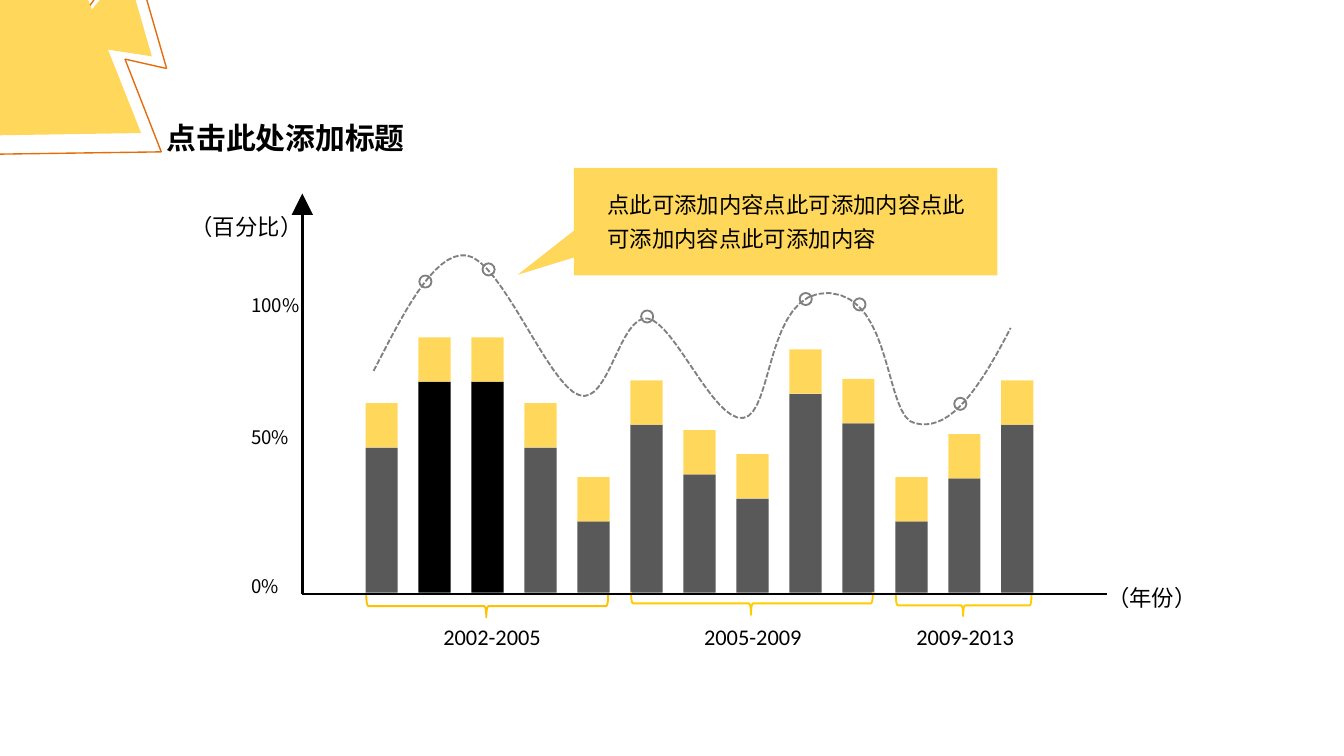
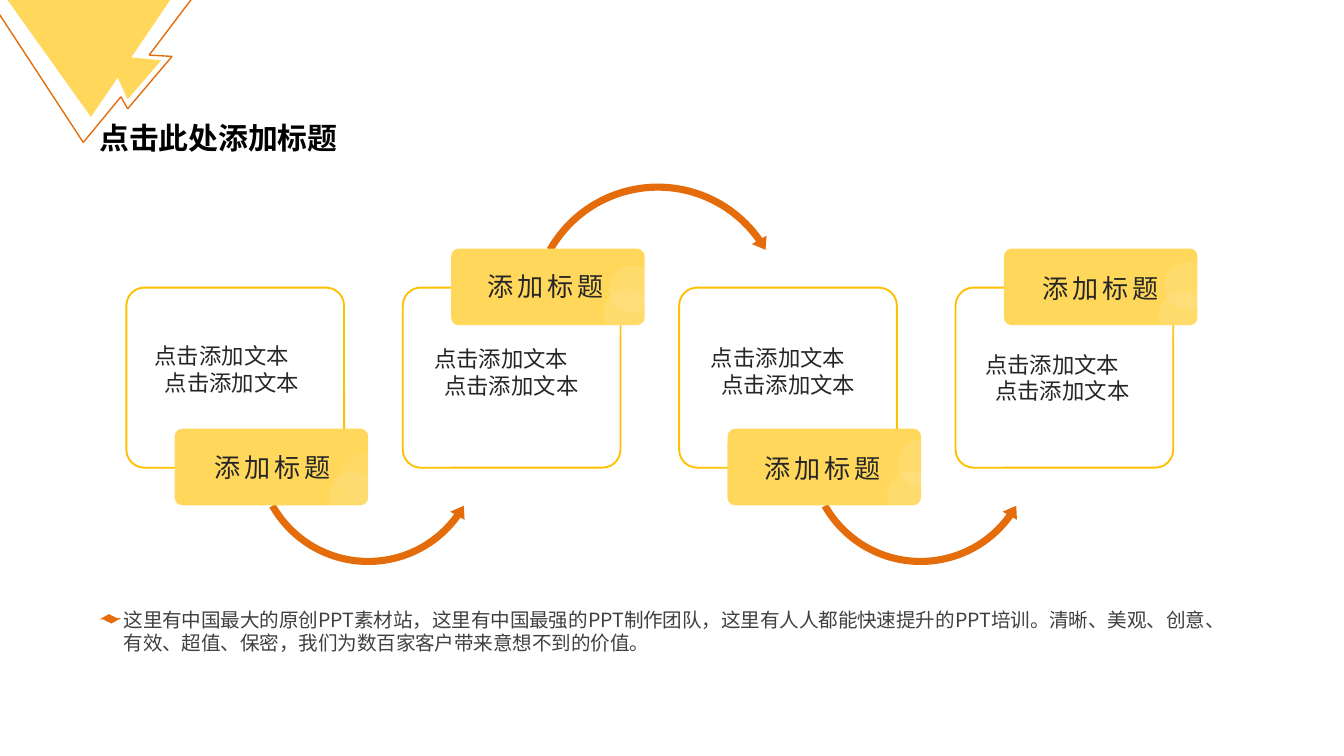
from itertools import pairwise

from lxml import etree
from pptx import Presentation
from pptx.dml.color import RGBColor
from pptx.enum.dml import MSO_LINE
from pptx.enum.shapes import MSO_CONNECTOR, MSO_SHAPE
from pptx.enum.text import MSO_ANCHOR, MSO_AUTO_SIZE, PP_ALIGN
from pptx.oxml.ns import qn
from pptx.util import Cm, Pt

# Colours
BLACK = RGBColor(0x00, 0x00, 0x00)
WHITE = RGBColor(0xFF, 0xFF, 0xFF)
INK = RGBColor(0x26, 0x26, 0x26)
BODY = RGBColor(0x40, 0x40, 0x40)
BAR_GREY = RGBColor(0x59, 0x59, 0x59)
CURVE_GREY = RGBColor(0x80, 0x80, 0x80)
YELLOW = RGBColor(0xFF, 0xD8, 0x5B)
GOLD = RGBColor(0xFF, 0xC0, 0x00)
BRACE_GOLD = RGBColor(0xFF, 0xCC, 0x00)
ORANGE = RGBColor(0xE4, 0x6C, 0x0A)

# Enum members
RECT, ROUNDED = MSO_SHAPE.RECTANGLE, MSO_SHAPE.ROUNDED_RECTANGLE
TRIANGLE, OVAL = MSO_SHAPE.ISOSCELES_TRIANGLE, MSO_SHAPE.OVAL
BRACE, CALLOUT = MSO_SHAPE.RIGHT_BRACE, MSO_SHAPE.RECTANGULAR_CALLOUT
ARC_OVER, ARC_UNDER = MSO_SHAPE.CIRCULAR_ARROW, MSO_SHAPE.LEFT_CIRCULAR_ARROW
STRAIGHT = MSO_CONNECTOR.STRAIGHT
SYS_DASH = MSO_LINE.SQUARE_DOT
LEFT, CENTER = PP_ALIGN.LEFT, PP_ALIGN.CENTER
FIT, FIXED = MSO_AUTO_SIZE.SHAPE_TO_FIT_TEXT, MSO_AUTO_SIZE.NONE
TOP = MSO_ANCHOR.TOP

# Text styles
SANS = "Noto Sans CJK SC"
TITLE = dict(name=SANS, size=Pt(16), bold=True)
NOTE = dict(name=SANS, size=Pt(10.5))
TEXT = dict(name=SANS, size=Pt(12))
TICK = dict(name=SANS, size=Pt(10))
YEARS = dict(name="Calibri", size=Pt(12))
CAPTION = dict(name=SANS, size=Pt(14))


def inch(value):
    return Cm(value * 2.54)


def bezier(points, steps=16):
    """Points along a chain of cubic curves."""
    curve = [points[0]]
    for i in range(0, len(points) - 1, 3):
        a, b, c, d = points[i:i + 4]
        for n in range(1, steps + 1):
            t = n / steps
            u = 1 - t
            curve.append(tuple(
                u**3 * a[k] + 3 * u * u * t * b[k] + 3 * u * t * t * c[k] + t**3 * d[k]
                for k in (0, 1)))
    return curve


class Deck:
    def __init__(self):
        self.prs = Presentation()
        self.prs.slide_width, self.prs.slide_height = inch(10), inch(5.625)
        self.slide = None

    def new_slide(self, layout, title, left):
        self.slide = self.prs.slides.add_slide(self.prs.slide_layouts[layout])
        self.place(self.slide.shapes.title, (left, 0.84, 2, 0.37))
        self.fill_text(self.slide.shapes.title.text_frame, [title], TITLE, wrap=False)

    def place(self, sp, box):
        sp.left, sp.top, sp.width, sp.height = map(inch, box)

    def fill_text(self, tf, lines, fmt, color=BLACK, align=LEFT, spacing=1.0,
                  wrap=True, fit=FIT, track=0):
        tf.word_wrap, tf.auto_size, tf.vertical_anchor = wrap, fit, TOP
        for i, line in enumerate(lines):
            p = tf.paragraphs[0] if i == 0 else tf.add_paragraph()
            p.alignment, p.line_spacing, p.space_before = align, spacing, Pt(0)
            r = p.add_run()
            r.text = line
            for key, value in fmt.items():
                setattr(r.font, key, value)
            r.font.color.rgb = color
            rPr = r._r.get_or_add_rPr()
            etree.SubElement(rPr, qn("a:ea")).set("typeface", fmt["name"])
            if track:
                rPr.set("spc", str(track * 100))

    def text(self, box, lines, fmt, **options):
        tf = self.slide.shapes.add_textbox(*map(inch, box)).text_frame
        self.fill_text(tf, lines, fmt, **options)
        return tf

    def body(self, box, text, fmt, color):
        sp = self.slide.placeholders[1]
        self.place(sp, box)
        self.fill_text(sp.text_frame, [text], fmt, color=color, fit=FIXED)
        pPr = sp.text_frame.paragraphs[0]._p.get_or_add_pPr()
        pPr.set("marL", "0")
        pPr.set("indent", "0")
        etree.SubElement(pPr, qn("a:buNone"))

    def paint(self, sp, fill, line, width):
        sp.shadow.inherit = False
        if fill is None:
            sp.fill.background()
        else:
            sp.fill.solid()
            sp.fill.fore_color.rgb = fill
        if line is None:
            sp.line.fill.background()
        else:
            sp.line.color.rgb = line
            sp.line.width = Pt(width)
        return sp

    def shape(self, kind, box, fill=None, line=None, width=1, adj=(), rot=0, opacity=None):
        sp = self.slide.shapes.add_shape(kind, *map(inch, box))
        for i, value in enumerate(adj):
            sp.adjustments[i] = value
        sp.rotation = rot
        self.paint(sp, fill, line, width)
        if opacity is not None:
            clr = sp._element.spPr.find(qn("a:solidFill")).find(qn("a:srgbClr"))
            etree.SubElement(clr, qn("a:alpha")).set("val", str(opacity * 1000))
        return sp

    def outline(self, points, fill=None, line=None, width=1, close=True):
        pts = [tuple(map(inch, pt)) for pt in points]
        fb = self.slide.shapes.build_freeform(*pts[0])
        fb.add_line_segments(pts[1:], close=close)
        return self.paint(fb.convert_to_shape(), fill, line, width)

    def line(self, start, end, color, width):
        cx = self.slide.shapes.add_connector(STRAIGHT, *map(inch, start + end))
        cx.line.color.rgb = color
        cx.line.width = Pt(width)
        etree.SubElement(cx._element.spPr, qn("a:effectLst"))

    def corner(self, triangle, rot, spike, edge):
        """Yellow corner pieces with a thin orange zigzag."""
        self.shape(TRIANGLE, triangle, YELLOW, adj=[0.487], rot=rot)
        self.outline(spike, YELLOW)
        for start, end in pairwise(edge):
            self.line(start, end, ORANGE, 0.75)


def chart_slide(deck):
    deck.new_slide(5, "点击此处添加标题", 1.14)
    deck.corner((-0.82, -0.3, 2.32, 1.68), 124.4,
                [(0.94, -0.24), (1.13, 0.42), (0.48, 0.32)],
                [(-0.23, 1.15), (1.2, 1.13), (0.93, 0.44), (1.24, 0.51),
                 (0.98, -0.39), (0.67, 0.04)])

    # Vertical axis
    base, axis_x = 4.42, 2.25
    deck.line((axis_x, 1.59), (axis_x, base), BLACK, 1.5)
    deck.shape(TRIANGLE, (2.17, 1.44, 0.16, 0.16), BLACK)

    # Bars with yellow caps
    heights = [1.08, 1.57, 1.57, 1.08, 0.53, 1.25, 0.88, 0.7, 1.48, 1.26, 0.53, 0.85, 1.25]
    first, last, bar_w, cap = 2.72, 7.45, 0.24, 0.33
    step = (last - first) / (len(heights) - 1)
    for i, h in enumerate(heights):
        x, top = first + i * step, base - 0.01 - h
        deck.shape(RECT, (x, top, bar_w, h), BLACK if i in (1, 2) else BAR_GREY)
        deck.shape(RECT, (x, top - cap, bar_w, cap), YELLOW)

    # Year groups
    for label, left, brace, color in [
            ("2002-2005", 3.2, (3.54, 3.61, 0.17, 1.8), GOLD),
            ("2005-2009", 5.14, (5.51, 3.59, 0.17, 1.8), BRACE_GOLD),
            ("2009-2013", 6.72, (7.09, 4, 0.16, 1.01), BRACE_GOLD)]:
        deck.shape(BRACE, brace, line=color, adj=[0.083, 0.504], rot=90)
        deck.text((left, 4.59, 0.94, 0.3), [label], YEARS, wrap=False)

    # Axis labels
    for label, top, width in [("50%", 3.12, 0.49), ("100%", 2.14, 0.57), ("0%", 4.23, 0.41)]:
        deck.text((1.77, top, width, 0.27), [label], TICK, wrap=False)
    for label, left, top in [("（年份）", 8.14, 4.24), ("（百分比）", 1.32, 1.48)]:
        deck.text((left, top, 1.04, 0.34), [label], TEXT, spacing=1.3)

    # Dashed trend curve and its markers
    trend = [(2.78, 2.76), (2.98, 2.38), (3.22, 1.87), (3.47, 1.9), (3.73, 1.93),
             (4.08, 2.87), (4.31, 2.94), (4.53, 3.02), (4.61, 2.34), (4.82, 2.37),
             (5.02, 2.4), (5.31, 3.14), (5.53, 3.11), (5.76, 3.08), (5.69, 2.16),
             (6.17, 2.18), (6.65, 2.21), (6.58, 3.11), (6.81, 3.15), (7.03, 3.2),
             (7.23, 3.01), (7.52, 2.44)]
    sp = deck.outline(bezier(trend), line=CURVE_GREY, close=False)
    sp.line.dash_style = SYS_DASH
    for x, y in [(3.59, 1.96), (3.12, 2.05), (4.77, 2.31), (5.95, 2.18),
                 (6.35, 2.22), (7.1, 2.96)]:
        deck.shape(OVAL, (x, y, 0.09, 0.09), line=CURVE_GREY)

    # Callout and horizontal axis
    deck.shape(CALLOUT, (4.27, 1.25, 3.15, 0.8), YELLOW, adj=[-0.633, 0.494])
    deck.text((4.42, 1.31, 2.95, 0.63),
              ["点此可添加内容点此可添加内容点此可添加内容点此可添加内容"], TEXT, spacing=1.3)
    deck.line((axis_x, base), (8.24, base), BLACK, 1.5)


def process_slide(deck):
    deck.new_slide(1, "点击此处添加标题", 0.64)
    deck.body((0.82, 4.47, 8.43, 0.63),
              "这里有中国最大的原创PPT素材站，这里有中国最强的PPT制作团队，"
              "这里有人人都能快速提升的PPT培训。清晰、美观、创意、有效、超值、保密，"
              "我们为数百家客户带来意想不到的价值。", NOTE, BODY)
    deck.outline([(0.81, 4.57), (0.87, 4.6), (0.9, 4.6), (0.83, 4.64),
                  (0.77, 4.61), (0.74, 4.61)], ORANGE)
    deck.corner((0.02, -0.05, 1.28, 0.92), 180,
                [(1.2, 0.45), (0.95, 0.74), (0.8, 0.41)],
                [(-0.1, -0.04), (0.62, 1.06), (0.9, 0.72), (0.95, 0.81),
                 (1.28, 0.42), (1.11, 0.41), (1.45, -0.04)])

    # Arrows between the steps
    for x in (1.86, 5.97):
        deck.shape(ARC_UNDER, (x, 2.48, 1.76, 1.76), ORANGE,
                   adj=[0.03, 3.706, 21.461, 90.245, 0.035])
    deck.shape(ARC_OVER, (3.91, 1.33, 1.97, 1.97), ORANGE,
               adj=[0.027, 3.292, 194.953, 125.755, 0.032])

    # Steps: text place, caption place, pale discs as (x, y, size, opacity)
    steps = [
        ((1.05, 2.5), (1.5, 3.31), [(2.52, 3.37, 0.37, 5), (2.45, 3.51, 0.35, 10)]),
        ((3.13, 2.52), (3.53, 1.96), [(4.49, 2.15, 0.35, 10), (4.53, 1.98, 0.35, 10)]),
        ((5.19, 2.51), (5.59, 3.32), [(6.6, 3.51, 0.35, 10), (6.68, 3.27, 0.35, 10)]),
        ((7.23, 2.56), (7.66, 1.98), [(8.62, 2.17, 0.35, 10), (8.66, 1.95, 0.35, 10)]),
    ]
    pitch = (7.11 - 0.94) / 3
    for i, (text_at, caption_at, discs) in enumerate(steps):
        x = 0.94 + i * pitch
        deck.shape(ROUNDED, (x, 2.14, 1.62, 1.34), line=GOLD, adj=[0.1])
        tf = deck.text((*text_at, 1.35, 0.51), ["点击添加文本"] * 2, TEXT,
                       color=INK, align=CENTER)
        # The second line sits a little to the right of the first
        tf.margin_left, tf.margin_right = 0, inch(0.15)
        tf.paragraphs[1]._p.get_or_add_pPr().set("marL", str(inch(0.15)))
        deck.shape(ROUNDED, (x + 0.36, 1.85 if i % 2 else 3.19, 1.44, 0.57), YELLOW, adj=[0.1])
        deck.text((*caption_at, 1.18, 0.34), ["添加标题"], CAPTION, color=INK, track=2)
        for left, top, size, opacity in discs:
            deck.shape(OVAL, (left, top, size, size), WHITE, opacity=opacity)


def main():
    deck = Deck()
    chart_slide(deck)
    process_slide(deck)
    deck.prs.save("out.pptx")


if __name__ == "__main__":
    main()
